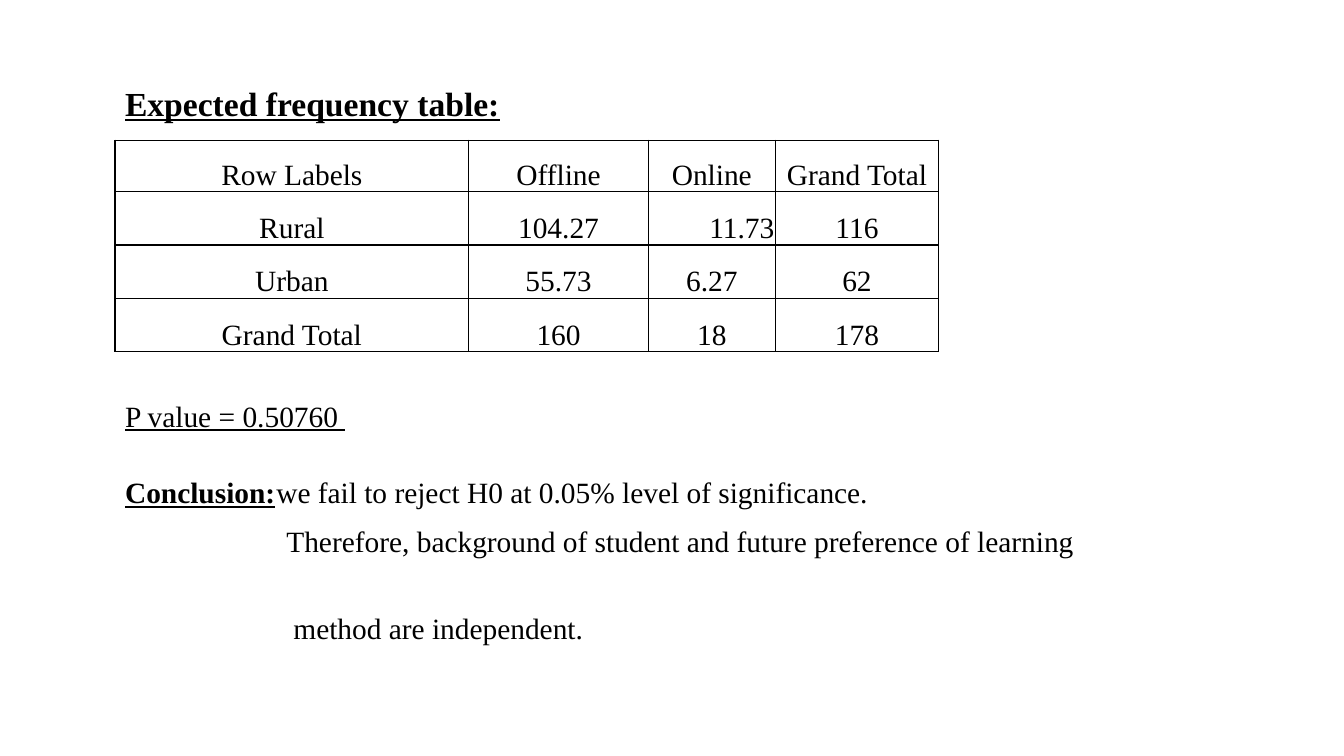
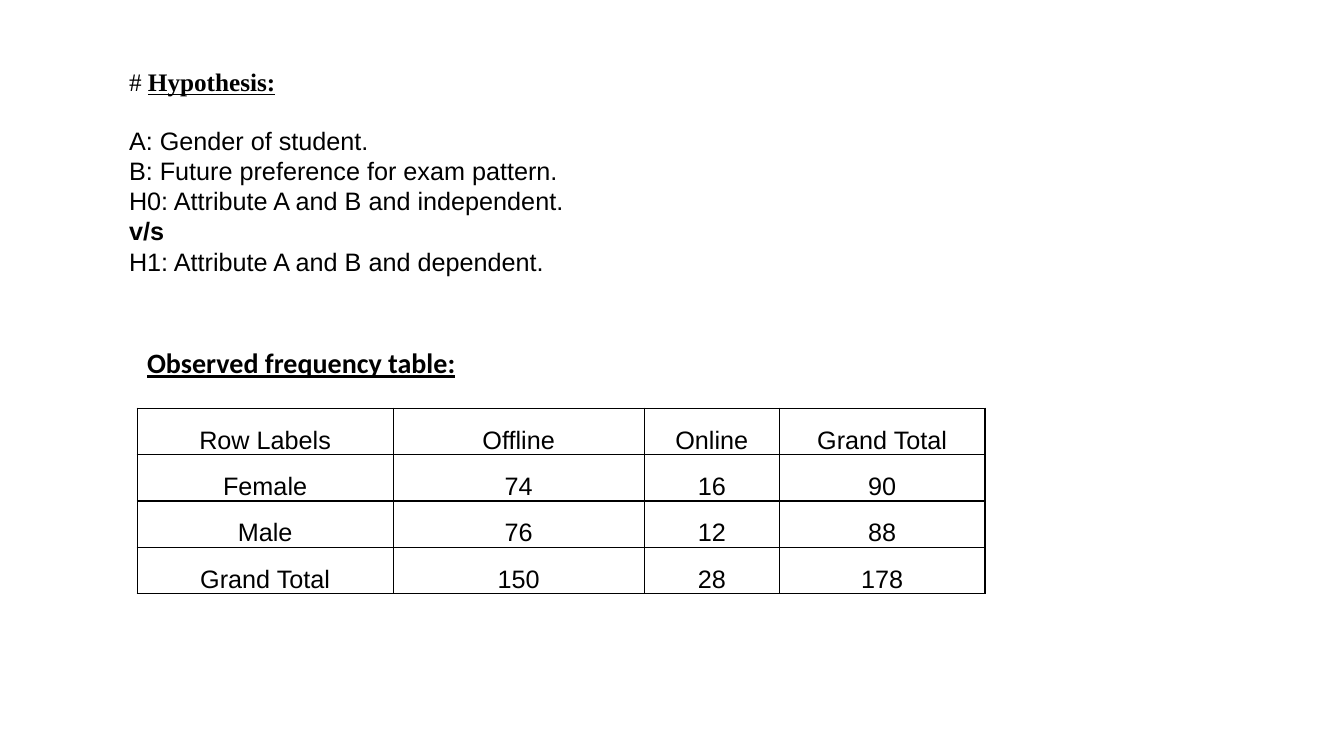
from dataclasses import dataclass
from typing import NamedTuple

from lxml.etree import SubElement
from pptx import Presentation
from pptx.dml.color import RGBColor
from pptx.enum.text import MSO_ANCHOR, MSO_AUTO_SIZE, PP_ALIGN
from pptx.oxml import parse_xml
from pptx.oxml.ns import nsdecls, qn
from pptx.util import Emu, Pt

SCALE = 9144


@dataclass(frozen=True)
class Theme:
    ink: str = "000000"
    serif: str = "Times New Roman"
    sans: str = "Arial"
    label: str = "Calibri"
    head: int = 24
    large: int = 21
    sub: int = 20
    small: int = 18
    rule: int = 1


THEME = Theme()


class Box(NamedTuple):
    left: int
    top: int
    width: int
    height: int


class Style(NamedTuple):
    face: str
    size: int


class Run(NamedTuple):
    text: str
    bold: bool = False
    under: bool = False


class Para(NamedTuple):
    runs: tuple[Run, ...]
    before: int = 0
    indent: int = 0
    tab: int = 0
    line: float = 1.0


class Grid(NamedTuple):
    left: int
    top: int
    cols: tuple[int, ...]
    rows: tuple[int, ...]
    data: tuple[tuple[str, ...], ...]
    style: Style
    right: tuple[tuple[int, int], ...] = ()


def px(value: int) -> Emu:
    return Emu(value * SCALE)


def paint(font, style: Style) -> None:
    font.name = style.face
    font.size = Pt(style.size)
    font.color.rgb = RGBColor.from_string(THEME.ink)


def write(shape, box: Box, style: Style, paras: tuple[Para, ...]) -> None:
    shape.left, shape.top, shape.width, shape.height = map(px, box)
    frame = shape.text_frame
    frame.word_wrap = True
    frame.auto_size = MSO_AUTO_SIZE.NONE
    frame.vertical_anchor = MSO_ANCHOR.TOP
    frame.margin_left = frame.margin_right = px(10)
    frame.margin_top = frame.margin_bottom = px(5)
    for index, para in enumerate(paras):
        block = frame.paragraphs[0] if index == 0 else frame.add_paragraph()
        props = block._p.get_or_add_pPr()
        props.set("marL", str(px(para.indent)))
        props.set("indent", "0")
        SubElement(props, qn("a:buNone"))
        if para.tab:
            tabs = SubElement(props, qn("a:tabLst"))
            SubElement(tabs, qn("a:tab"), pos=str(px(para.tab)), algn="l")
        block.alignment = PP_ALIGN.LEFT
        block.line_spacing = para.line
        block.space_before = Pt(para.before)
        block.space_after = Pt(0)
        paint(block.font, style)
        for part in para.runs:
            run = block.add_run()
            run.text = part.text
            run.font.bold = part.bold
            run.font.underline = part.under


def frame_cell(cell) -> None:
    cell.fill.background()
    props = cell._tc.get_or_add_tcPr()
    for index, side in enumerate(("lnL", "lnR", "lnT", "lnB")):
        props.insert(index, parse_xml(
            f'<a:{side} {nsdecls("a")} w="{Pt(THEME.rule)}"><a:solidFill>'
            f'<a:srgbClr val="{THEME.ink}"/></a:solidFill></a:{side}>'
        ))


def draw_grid(slide, grid: Grid) -> None:
    table = slide.shapes.add_table(
        len(grid.rows), len(grid.cols), px(grid.left), px(grid.top),
        px(sum(grid.cols)), px(sum(grid.rows)),
    ).table
    table.first_row = table.horz_banding = False
    for col, width in zip(table.columns, grid.cols):
        col.width = px(width)
    for row, height in zip(table.rows, grid.rows):
        row.height = px(height)
    for y, line in enumerate(grid.data):
        for x, text in enumerate(line):
            cell = table.cell(y, x)
            cell.margin_left = cell.margin_right = cell.margin_top = px(1)
            cell.margin_bottom = 0
            cell.vertical_anchor = MSO_ANCHOR.BOTTOM
            cell.text = text
            block = cell.text_frame.paragraphs[0]
            block.alignment = PP_ALIGN.RIGHT if (y, x) in grid.right else PP_ALIGN.CENTER
            paint(block.font, grid.style)
            frame_cell(cell)


HEADS = ("Row Labels", "Offline", "Online", "Grand Total")
LARGE = Style(THEME.serif, THEME.large)
SMALL = Style(THEME.sans, THEME.small)

EXPECT = Grid(
    114, 139, (351, 178, 126, 162), (51, 53, 53, 53),
    (
        HEADS,
        ("Rural", "104.27", "11.73", "116"),
        ("Urban", "55.73", "6.27", "62"),
        ("Grand Total", "160", "18", "178"),
    ),
    LARGE, right=((1, 2),),
)
OBSERVED = Grid(
    136, 405, (254, 249, 134, 204), (46,) * 4,
    (
        HEADS,
        ("Female", "74", "16", "90"),
        ("Male", "76", "12", "88"),
        ("Grand Total", "150", "28", "178"),
    ),
    SMALL,
)
RESULT = (
    Para((Run("P value = 0.50760 ", under=True),), line=1.07),
    Para(
        (
            Run("Conclusion:", True, True),
            Run("\twe fail to reject H0 at 0.05% level of significance."),
        ),
        before=28, tab=164, line=1.07,
    ),
    Para(
        (Run("Therefore, background of student and future preference of learning"),),
        before=8, indent=160, line=1.07,
    ),
    Para((Run("method are independent."),), before=35, indent=167, line=1.07),
)
CLAIMS = (
    Run("A: Gender of student."),
    Run("B: Future preference for exam pattern."),
    Run("H0: Attribute A and B and independent."),
    Run("v/s", True),
    Run("H1: Attribute A and B and dependent."),
)


def main() -> None:
    deck = Presentation()
    deck.slide_width, deck.slide_height = px(1333), px(750)
    layout = deck.slide_layouts[1]

    slide = deck.slides.add_slide(layout)
    write(slide.shapes.title, Box(114, 77, 936, 91), Style(THEME.serif, THEME.head),
          (Para((Run("Expected frequency table:", True, True),)),))
    draw_grid(slide, EXPECT)
    write(slide.placeholders[1], Box(114, 387, 978, 320), LARGE, RESULT)

    slide = deck.slides.add_slide(layout)
    write(slide.shapes.title, Box(118, 61, 586, 40), Style(THEME.serif, THEME.small),
          (Para((Run("# "), Run("Hypothesis:", True, True))),))
    write(slide.placeholders[1], Box(118, 119, 586, 194), SMALL,
          tuple(Para((claim,)) for claim in CLAIMS))
    draw_grid(slide, OBSERVED)
    label = slide.shapes.add_textbox(0, 0, 0, 0)
    write(label, Box(136, 338, 398, 44), Style(THEME.label, THEME.sub),
          (Para((Run("Observed frequency table:", True, True),)),))

    deck.save("out.pptx")


if __name__ == "__main__":
    main()
